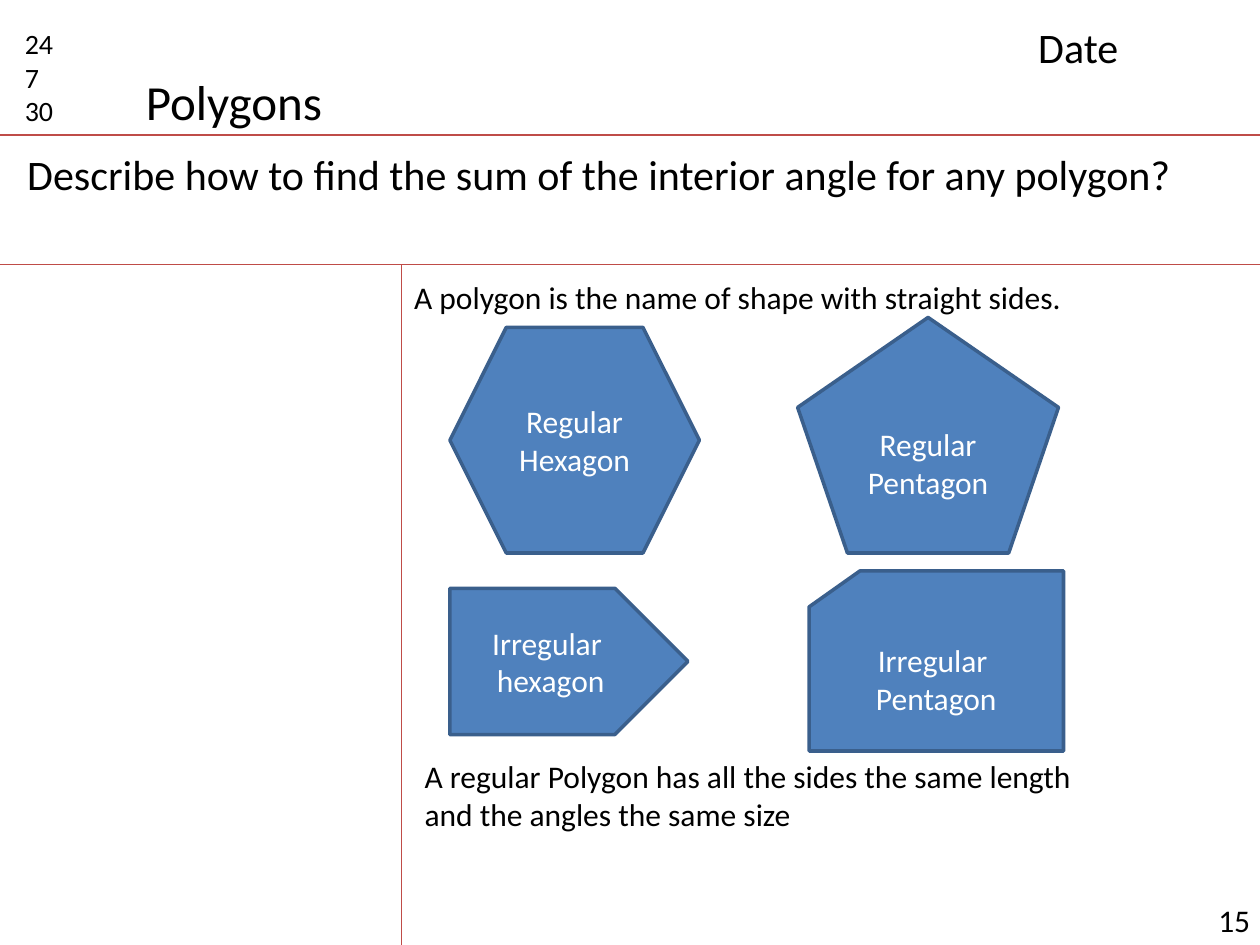
from lxml import etree
from pptx import Presentation, util as u
from pptx.dml.color import RGBColor
from pptx.enum import shapes, text
from pptx.oxml import ns

WIDTH, HEIGHT = 25.4, 19.05
BLACK, WHITE, RED, BLUE, DARK_BLUE = "000000", "FFFFFF", "BF4C48", "4F81BD", "3A5F8C"
TOP_RULE, QUESTION_RULE, MARGIN_RULE = 2.72, 5.33, 8.1

# paragraphs, size, wrap, (left, top, width, height) in cm
NOTES = [
    (["15"], 18, True, (24.31, 18.03, 1.52, 1.02)),
    (["24", "7", "30"], 16, True, (0.25, 0.41, 1.6, 2.31)),
    (["Date"], 24, True, (20.68, 0.3, 4.39, 1.27)),
    (["Polygons"], 28, False, (2.69, 1.32, 4.11, 1.45)),
    (["Describe how to find the sum of the interior angle for any polygon?"],
     24, True, (0.3, 2.87, 24, 1.27)),
    (["A polygon is the name of shape with straight sides."],
     18, False, (MARGIN_RULE, 5.49, 13.87, 1.02)),
    (["A regular Polygon has all the sides the same length and the angles the same size"],
     18, True, (8.31, 15.14, 14.15, 1.8)),
]

KINDS = shapes.MSO_SHAPE
POLYGONS = [
    (KINDS.REGULAR_PENTAGON, ["Regular Pentagon"], (16.08, 6.4, 5.26, 4.75)),
    (KINDS.HEXAGON, ["Regular Hexagon"], (9.07, 6.6, 5.03, 4.55)),
    (KINDS.PENTAGON, ["Irregular ", "hexagon"], (9.07, 11.86, 4.8, 2.95)),
    (KINDS.FLOWCHART_CARD, ["Irregular ", "Pentagon"], (16.31, 11.51, 5.13, 3.63)),
]

RULES = [
    (0, TOP_RULE, WIDTH, TOP_RULE),
    (0, QUESTION_RULE, WIDTH, QUESTION_RULE),
    (MARGIN_RULE, QUESTION_RULE, MARGIN_RULE, HEIGHT),
]


def color(value):
    return RGBColor.from_string(value)


def lengths(values):
    return [u.Cm(value) for value in values]


def write(frame, lines, size, ink, alignment):
    for index, line in enumerate(lines):
        paragraph = frame.add_paragraph() if index else frame.paragraphs[0]
        paragraph.text = line
        paragraph.alignment = alignment
        font_format = {"name": "Calibri", "size": u.Pt(size)}
        for name, value in font_format.items():
            setattr(paragraph.runs[0].font, name, value)
        paragraph.runs[0].font.color.rgb = color(ink)


def add_rule(slide, ends):
    rule = slide.shapes.add_connector(shapes.MSO_CONNECTOR.STRAIGHT, *lengths(ends))
    rule.line.color.rgb = color(RED)
    rule.line.width = u.Pt(0.75)
    etree.SubElement(rule._element.spPr, ns.qn("a:effectLst"))


def add_note(slide, lines, size, wrap, box):
    frame = slide.shapes.add_textbox(*lengths(box)).text_frame
    frame.word_wrap = wrap
    frame.auto_size = text.MSO_AUTO_SIZE.SHAPE_TO_FIT_TEXT
    write(frame, lines, size, BLACK, text.PP_ALIGN.LEFT)


def add_polygon(slide, kind, lines, box):
    shape = slide.shapes.add_shape(kind, *lengths(box))
    shape.shadow.inherit = False
    shape.fill.solid()
    shape.fill.fore_color.rgb = color(BLUE)
    shape.line.color.rgb = color(DARK_BLUE)
    shape.line.width = u.Pt(2)
    shape.text_frame.word_wrap = True
    shape.text_frame.vertical_anchor = text.MSO_ANCHOR.MIDDLE
    write(shape.text_frame, lines, 18, WHITE, text.PP_ALIGN.CENTER)


def main():
    presentation = Presentation()
    presentation.slide_width, presentation.slide_height = lengths((WIDTH, HEIGHT))
    slide = presentation.slides.add_slide(presentation.slide_layouts[6])
    for ends in RULES:
        add_rule(slide, ends)
    for note in NOTES:
        add_note(slide, *note)
    for polygon in POLYGONS:
        add_polygon(slide, *polygon)
    presentation.save("out.pptx")


if __name__ == "__main__":
    main()
